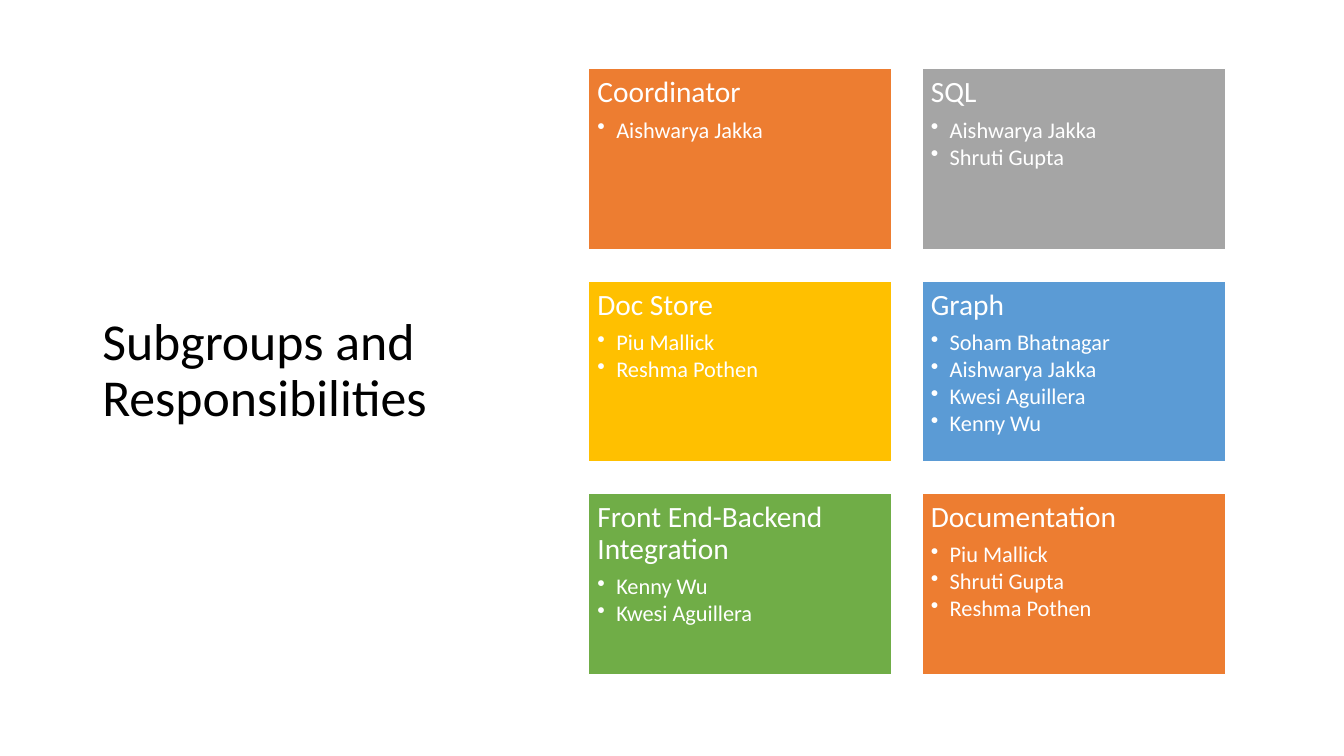
from dataclasses import dataclass

from lxml.etree import SubElement
from pptx import Presentation
from pptx.dml.color import RGBColor
from pptx.enum.shapes import MSO_SHAPE
from pptx.enum.text import MSO_ANCHOR, PP_ALIGN
from pptx.oxml.ns import qn
from pptx.util import Pt


@dataclass(frozen=True)
class Theme:
    font: str = "Calibri"
    title_size: int = 37
    heading_size: int = 21
    member_size: int = 16
    black: str = "000000"
    white: str = "FFFFFF"
    orange: str = "ED7D31"
    gray: str = "A5A5A5"
    gold: str = "FFC000"
    blue: str = "5B9BD5"
    green: str = "70AD47"


THEME = Theme()

SUBGROUPS = [
    ("Coordinator", THEME.orange, ["Aishwarya Jakka"]),
    ("SQL", THEME.gray, ["Aishwarya Jakka", "Shruti Gupta"]),
    ("Doc Store", THEME.gold, ["Piu Mallick", "Reshma Pothen"]),
    ("Graph", THEME.blue,
     ["Soham Bhatnagar", "Aishwarya Jakka", "Kwesi Aguillera", "Kenny Wu"]),
    ("Front End-Backend Integration", THEME.green, ["Kenny Wu", "Kwesi Aguillera"]),
    ("Documentation", THEME.orange, ["Piu Mallick", "Shruti Gupta", "Reshma Pothen"]),
]

COLUMNS = 2
GRID_LEFT, GRID_TOP = 420.4, 49
CARD_WIDTH, CARD_HEIGHT = 216.7, 129.5
COLUMN_STEP, ROW_STEP = 238.2, 151.6
CARD_INSET = 6.3
BULLET_INDENT = 13.5


def write_paragraph(para, text, size, color, space_after=0):
    para.text = text
    para.alignment = PP_ALIGN.LEFT
    para.line_spacing = 0.9
    para.space_after = Pt(space_after)
    para.font.name = THEME.font
    para.font.size = Pt(size)
    para.font.color.rgb = RGBColor.from_string(color)


def add_bullet(para):
    properties = para._p.get_or_add_pPr()
    properties.set("marL", str(Pt(BULLET_INDENT)))
    properties.set("indent", str(-Pt(BULLET_INDENT)))
    SubElement(properties, qn("a:buChar"), char="•")


def add_title(slide, text):
    box = slide.shapes.add_textbox(Pt(66), Pt(49), Pt(266), Pt(433.5))
    frame = box.text_frame
    frame.word_wrap = True
    frame.vertical_anchor = MSO_ANCHOR.MIDDLE
    write_paragraph(frame.paragraphs[0], text, THEME.title_size, THEME.black)


def add_card(slide, left, top, heading, color, members):
    card = slide.shapes.add_shape(
        MSO_SHAPE.RECTANGLE, Pt(left), Pt(top), Pt(CARD_WIDTH), Pt(CARD_HEIGHT))
    card.shadow.inherit = False
    card.fill.solid()
    card.fill.fore_color.rgb = RGBColor.from_string(color)
    card.line.color.rgb = RGBColor.from_string(THEME.white)
    card.line.width = Pt(1)

    frame = card.text_frame
    frame.word_wrap = True
    frame.vertical_anchor = MSO_ANCHOR.TOP
    frame.margin_left = frame.margin_right = Pt(CARD_INSET)
    frame.margin_top = frame.margin_bottom = Pt(CARD_INSET)
    write_paragraph(frame.paragraphs[0], heading, THEME.heading_size, THEME.white, 7)
    for member in members:
        para = frame.add_paragraph()
        para.level = 1
        add_bullet(para)
        write_paragraph(para, member, THEME.member_size, THEME.white, 2)


def main():
    deck = Presentation()
    deck.slide_width, deck.slide_height = Pt(960), Pt(540)
    slide = deck.slides.add_slide(deck.slide_layouts[6])
    add_title(slide, "Subgroups and Responsibilities")
    for index, subgroup in enumerate(SUBGROUPS):
        row, column = divmod(index, COLUMNS)
        add_card(slide, GRID_LEFT + column * COLUMN_STEP, GRID_TOP + row * ROW_STEP, *subgroup)
    deck.save("out.pptx")


if __name__ == "__main__":
    main()
